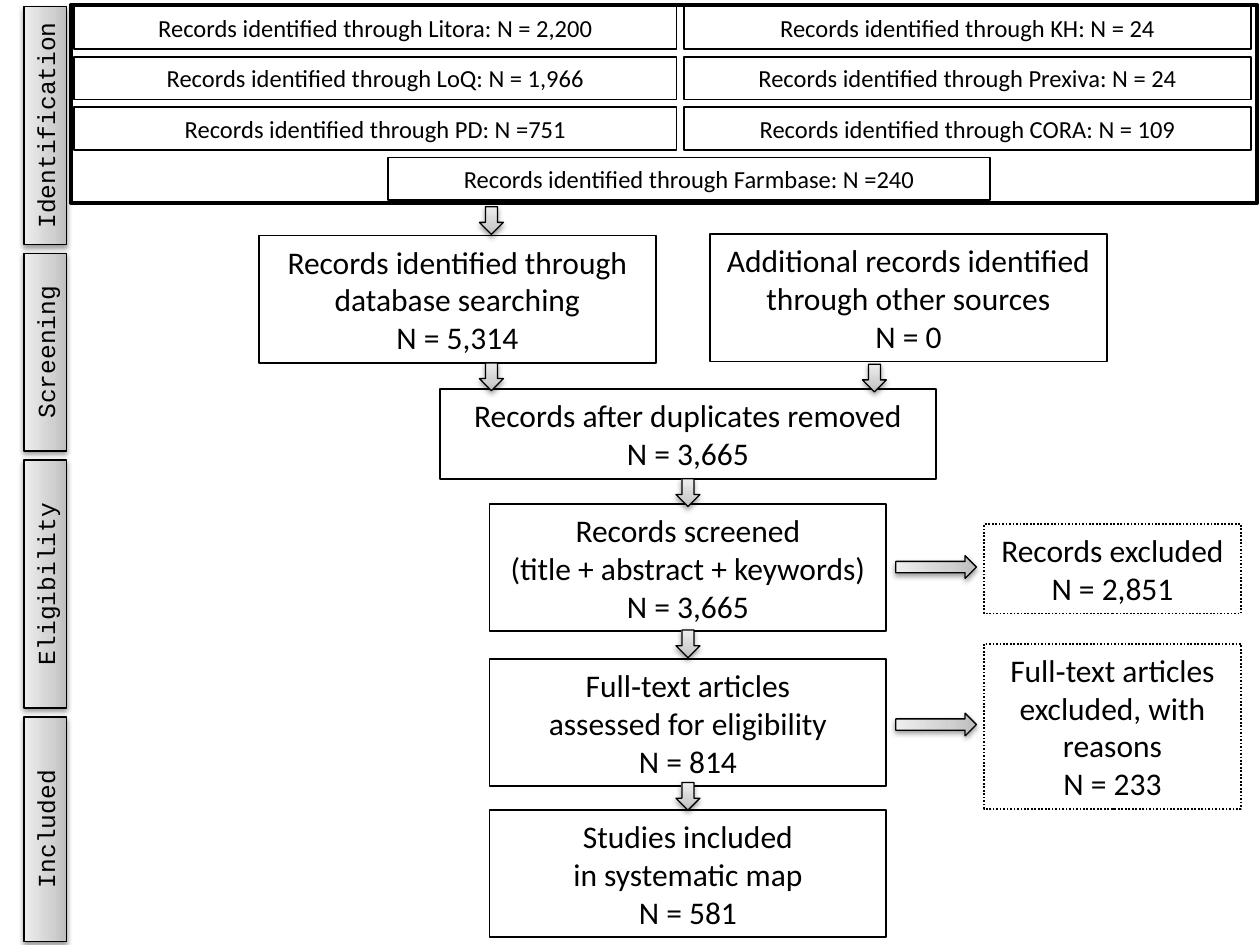
"""Build a one-slide flow diagram of record screening for a systematic map."""
from dataclasses import dataclass

from lxml.etree import SubElement
from pptx import Presentation
from pptx.dml.color import RGBColor
from pptx.enum.dml import MSO_LINE
from pptx.enum.shapes import MSO_SHAPE
from pptx.enum.text import MSO_ANCHOR, MSO_AUTO_SIZE, PP_ALIGN
from pptx.oxml.ns import qn
from pptx.util import Inches, Pt


@dataclass(frozen=True)
class Theme:
    ink: str = "000000"
    stops: tuple = ((0, "BDBDBD"), (35, "D1D1D1"), (100, "EEEEEE"))
    body: str = "Calibri"
    mono: str = "Courier New"
    large: int = 18
    small: int = 14
    thin: float = 0.75
    normal: float = 1
    heavy: float = 2.25


theme = Theme()
ink = RGBColor.from_string(theme.ink)


def add_box(text, cx, top, w, h, *, kind=MSO_SHAPE.RECTANGLE, size=theme.large,
            font=theme.body, line=theme.normal, dotted=False, shaded=False, turn=0):
    sp = s.shapes.add_shape(kind, Inches(cx - w / 2), Inches(top), Inches(w), Inches(h))
    sp.rotation = turn
    sp.line.color.rgb = ink
    sp.line.width = Pt(line)
    if dotted:
        sp.line.dash_style = MSO_LINE.ROUND_DOT
    sp.shadow.inherit = False
    if shaded:
        shade(sp)
    else:
        sp.fill.background()
    if text:
        tf = sp.text_frame
        tf.word_wrap = True
        tf.auto_size = MSO_AUTO_SIZE.SHAPE_TO_FIT_TEXT
        tf.vertical_anchor = MSO_ANCHOR.MIDDLE
        tf.text = text
        for p in tf.paragraphs:
            p.alignment = PP_ALIGN.CENTER
            r = p.runs[0]
            r.font.name, r.font.size = font, Pt(size)
            r.font.color.rgb = ink


def shade(sp):
    sp.fill.gradient()
    sp.fill.gradient_angle = 90
    spPr = sp._element.spPr
    stops = spPr.find(qn("a:gradFill")).find(qn("a:gsLst"))
    for gs in list(stops):
        stops.remove(gs)
    for pos, color in theme.stops:
        gs = SubElement(stops, qn("a:gs"), pos=str(pos * 1000))
        SubElement(gs, qn("a:srgbClr"), val=color)
    shadow = SubElement(spPr.find(qn("a:effectLst")), qn("a:outerShdw"),
                        blurRad=str(Pt(3.1)), dist=str(Pt(1.6)), dir="5400000", rotWithShape="0")
    color = SubElement(shadow, qn("a:srgbClr"), val=theme.ink)
    SubElement(color, qn("a:alpha"), val="38000")


prs = Presentation()
prs.slide_width, prs.slide_height = Inches(10), Inches(7.5)
s = prs.slides.add_slide(prs.slide_layouts[6])

main, side, searched, other = 5.46, 8.83, 3.63, 7.21
for text, cx, top, w, h, dotted in (
    ("Records identified through database searching\nN = 5,314", searched, 1.87, 3.15, 1.01, False),
    ("Additional records identified through other sources\nN = 0", other, 1.86, 3.15, 1.01, False),
    ("Records after duplicates removed\nN = 3,665", main, 3.09, 3.94, 0.71, False),
    ("Records screened\n(title + abstract + keywords)\nN = 3,665", main, 4, 3.15, 1.01, False),
    ("Records excluded\nN = 2,851", side, 4.16, 2.04, 0.71, True),
    ("Full‐text articles\nassessed for eligibility\nN = 814", main, 5.23, 3.15, 1.01, False),
    ("Full‐text articles\nexcluded, with reasons\nN = 233", side, 5.11, 2.04, 1.31, True),
    ("Studies included\nin systematic map\nN = 581", main, 6.43, 3.15, 1.01, False),
):
    add_box(text, cx, top, w, h, dotted=dotted)

bar_h, bar_gap, bar_top = 0.34, 0.07, 0.05
for stage, length in (("Identification", 1.89), ("Screening", 1.57),
                      ("Eligibility", 1.97), ("Included", 1.78)):
    add_box(stage, 0.36, bar_top + (length - bar_h) / 2, length, bar_h, turn=270,
            font=theme.mono, size=theme.small, line=theme.thin, shaded=True)
    bar_top += length + bar_gap

row_top, row_step, row_h = 0.05, 0.4, 0.34
for cx, w, first_row, sources in (
    (2.98, 4.78, 0, ("Litora: N = 2,200", "LoQ: N = 1,966", "PD: N =751")),
    (7.68, 4.5, 0, ("KH: N = 24", "Prexiva: N = 24", "CORA: N = 109")),
    (5.47, 4.78, 3, ("Farmbase: N =240",)),
):
    for row, source in enumerate(sources, first_row):
        add_box(f"Records identified through {source}", cx, row_top + row * row_step,
                w, row_h, size=theme.small)
add_box("", 5.27, 0.04, 9.42, 1.57, line=theme.heavy)

down, across = (0.19, 0.22, 0), (0.18, 0.64, 270)
for cx, top, (w, h, turn) in (
    (3.9, 1.64, down), (3.9, 2.88, down), (6.94, 2.89, down),
    (main, 3.8, down), (main, 5, down), (main, 6.21, down),
    (7.43, 4.18, across), (7.43, 5.43, across),
):
    add_box("", cx, top, w, h, kind=MSO_SHAPE.DOWN_ARROW, turn=turn,
            line=theme.thin, shaded=True)

prs.save("out.pptx")
